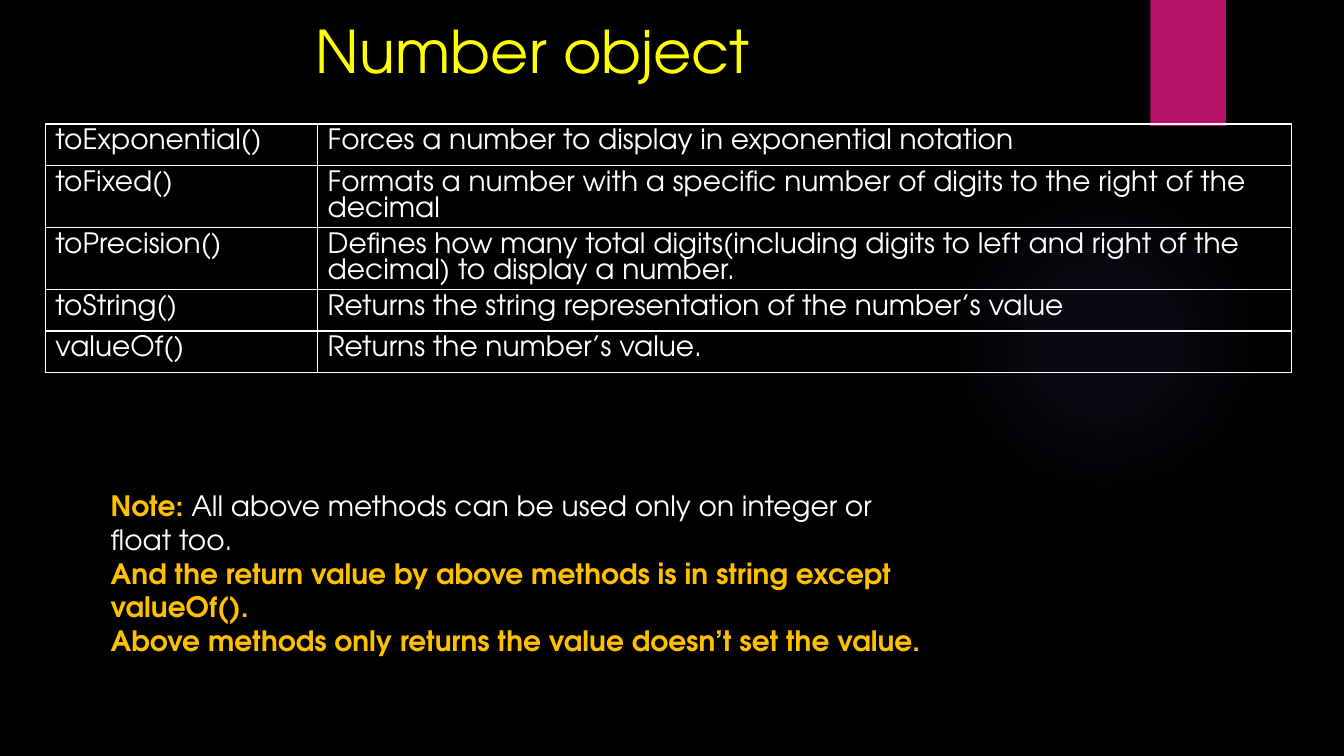
from lxml import etree
from pptx import Presentation
from pptx import util as u
from pptx.dml.color import RGBColor
from pptx.enum import shapes, text
from pptx.oxml import ns

FONT = "TeX Gyre Adventor"
BLACK, WHITE, YELLOW, GOLD = "000000", "FFFFFF", "FFFF00", "FFC000"
MAGENTA, VIOLET = "B31166", "9B6BF2"

heading = "Number object"
methods = [
    ("toExponential()", "Forces a number to display in exponential notation"),
    ("toFixed()", "Formats a number with a specific number of digits to the right of the decimal"),
    ("toPrecision()", "Defines how many total digits(including digits to left and right of the decimal) to display a number."),
    ("toString()", "Returns the string representation of the number’s value"),
    ("valueOf()", "Returns the number’s value."),
]
notes = [
    [("Note: ", GOLD, True),
     ("All above methods can be used only on integer or float too.", WHITE, False)],
    [("And the return value by above methods is in string except valueOf().", GOLD, True)],
    [("Above methods only returns the value doesn’t set the value.", GOLD, True)],
]
column_widths = (2.7, 9.66)
row_height = 0.41
glow_stops = [(0, 7), (36, 6), (69, 0)]


def rgb(value):
    return RGBColor.from_string(value)


def box(left, top, width, height):
    return [u.Inches(n) for n in (left, top, width, height)]


def element(parent, tag, **attributes):
    return etree.SubElement(parent, ns.qn(tag), {k: str(v) for k, v in attributes.items()})


def tinted(parent, color, alpha):
    element(element(parent, "a:srgbClr", val=color), "a:alpha", val=alpha * 1000)


def add_run(paragraph, words, size, color, bold=False):
    run = paragraph.add_run()
    run.text = words
    run.font.name = FONT
    run.font.size = u.Pt(size)
    run.font.bold = bold
    run.font.color.rgb = rgb(color)


def add_shape(kind, place, color):
    shape = slide.shapes.add_shape(kind, *box(*place))
    shape.shadow.inherit = False
    shape.fill.solid()
    shape.fill.fore_color.rgb = rgb(color)
    shape.line.fill.background()
    return shape


def add_text(place, paragraphs, size, anchor):
    frame = slide.shapes.add_textbox(*box(*place)).text_frame
    frame.word_wrap = True
    frame.vertical_anchor = anchor
    for i, runs in enumerate(paragraphs):
        paragraph = frame.add_paragraph() if i else frame.paragraphs[0]
        for words, color, bold in runs:
            add_run(paragraph, words, size, color, bold)


def outline(cell):
    properties = cell._tc.get_or_add_tcPr()
    for i, side in enumerate(("a:lnL", "a:lnR", "a:lnT", "a:lnB")):
        line = element(properties, side, w=u.Pt(1))
        element(element(line, "a:solidFill"), "a:srgbClr", val=WHITE)
        properties.insert(i, line)


deck = Presentation()
deck.slide_width, deck.slide_height = u.Inches(13.33), u.Inches(7.5)
slide = deck.slides.add_slide(deck.slide_layouts[6])
slide.background.fill.solid()
slide.background.fill.fore_color.rgb = rgb(BLACK)

glow = add_shape(shapes.MSO_SHAPE.OVAL, (9.41, 1.83, 3.08, 3.08), VIOLET)
solid = glow._element.spPr.find(ns.qn("a:solidFill"))
gradient = etree.Element(ns.qn("a:gradFill"))
stops = element(gradient, "a:gsLst")
for position, alpha in glow_stops:
    tinted(element(stops, "a:gs", pos=position * 1000), VIOLET, alpha)
element(element(gradient, "a:path", path="circle"), "a:fillToRect",
        l=50000, t=50000, r=50000, b=50000)
solid.getparent().replace(solid, gradient)

ribbon = add_shape(shapes.MSO_SHAPE.RECTANGLE, (11.41, 0, 0.75, 1.25), MAGENTA)
effects = ribbon._element.spPr.find(ns.qn("a:effectLst"))
tinted(element(effects, "a:outerShdw", blurRad=u.Pt(3), dist=u.Pt(2), dir=90 * 60000,
               rotWithShape=0), BLACK, 45)

add_text((3.03, 0.1, 6.14, 0.8), [[(heading, YELLOW, False)]], 42, text.MSO_ANCHOR.MIDDLE)

table = slide.shapes.add_table(
    len(methods), len(column_widths),
    *box(0.45, 1.23, sum(column_widths), row_height * len(methods))).table
table.first_row = table.horz_banding = False
for column, width in zip(table.columns, column_widths):
    column.width = u.Inches(width)
for r, method in enumerate(methods):
    table.rows[r].height = u.Inches(row_height)
    for c, words in enumerate(method):
        cell = table.cell(r, c)
        cell.fill.background()
        outline(cell)
        paragraph = cell.text_frame.paragraphs[0]
        paragraph.line_spacing = u.Pt(18.6)
        add_run(paragraph, words, 20, WHITE)

add_text((1, 4.8, 8.3, 1.78), notes, 20, text.MSO_ANCHOR.TOP)

deck.save("out.pptx")
